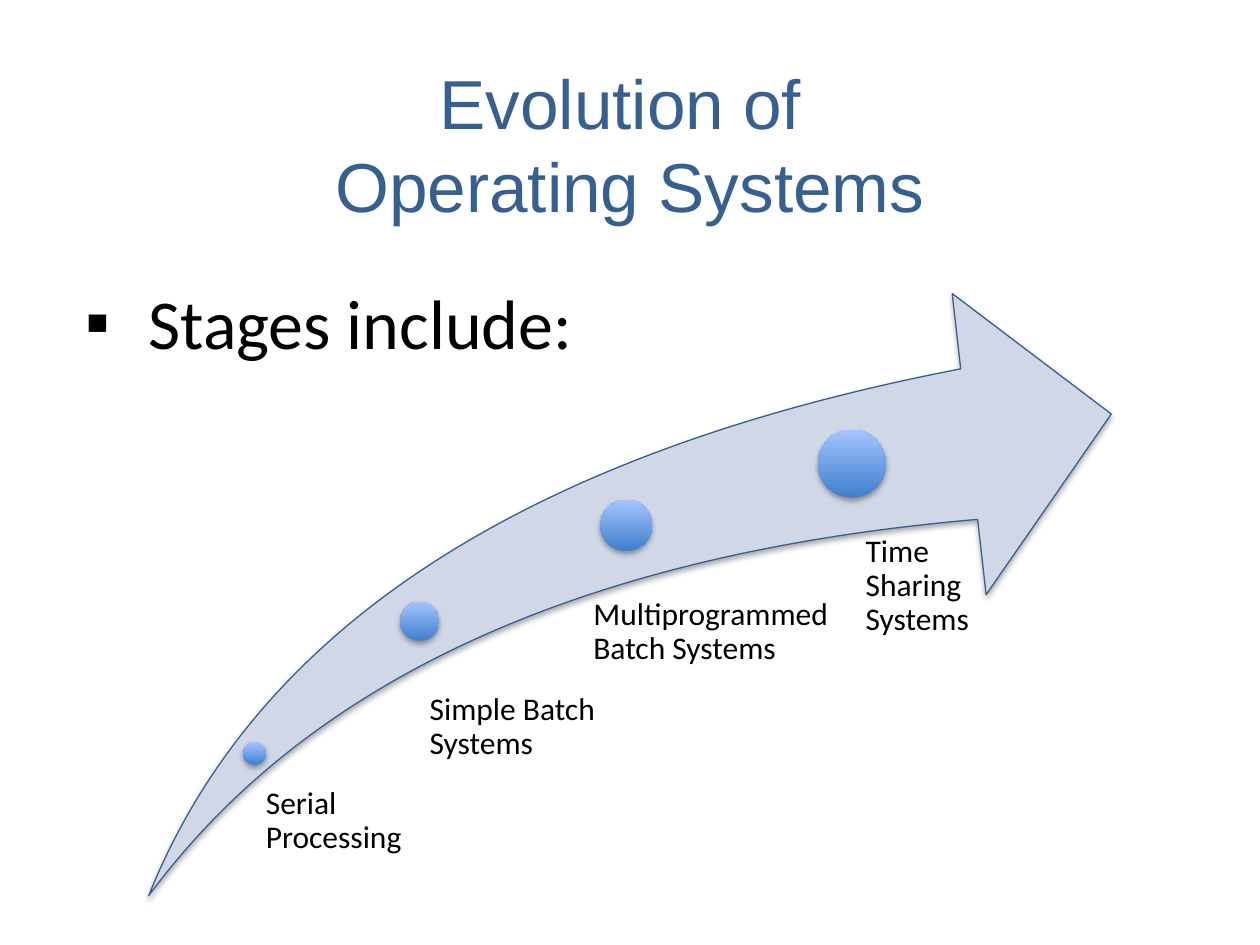
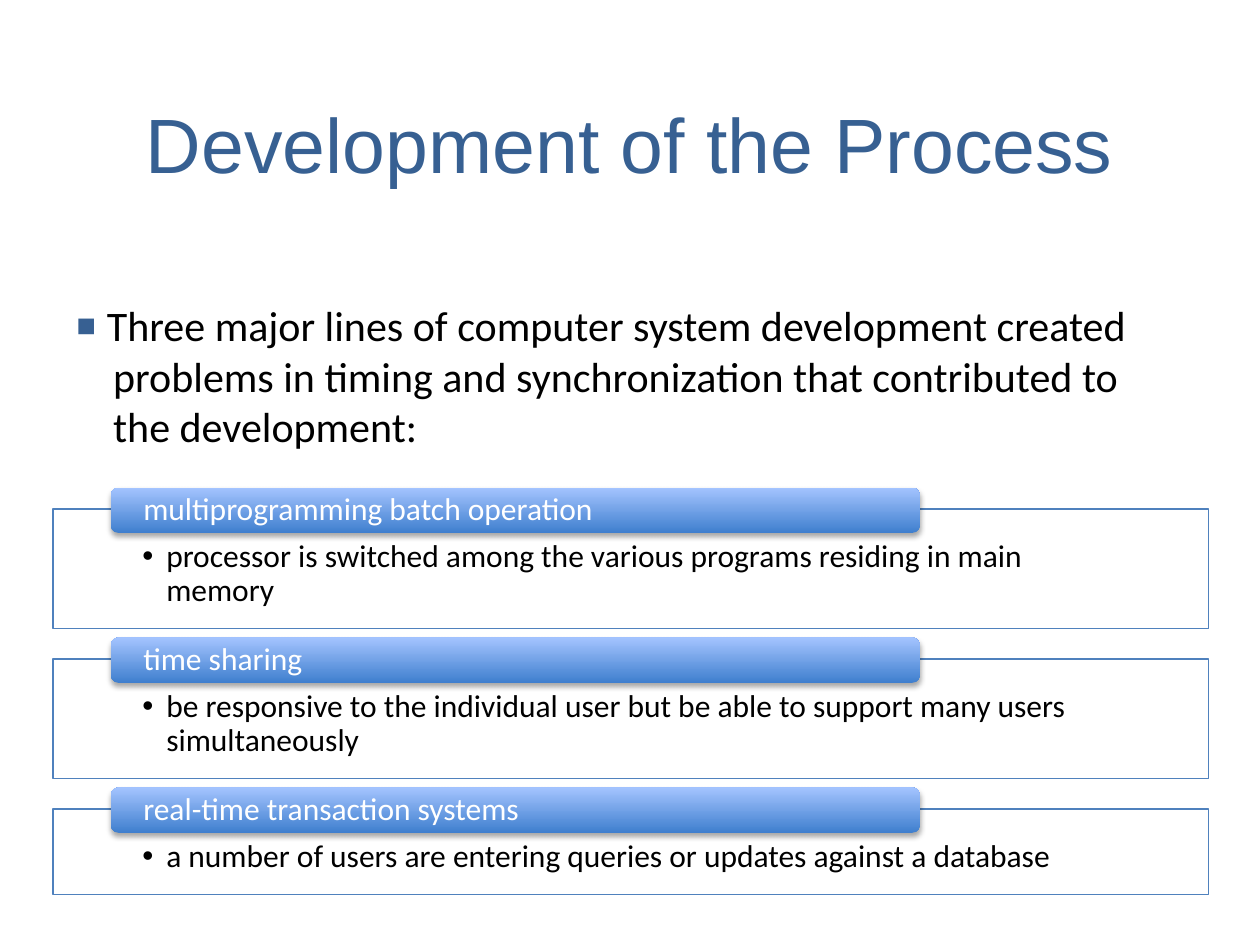
from lxml import etree
from pptx import Presentation
from pptx.dml.color import RGBColor
from pptx.enum.shapes import MSO_SHAPE
from pptx.enum.text import MSO_ANCHOR, MSO_AUTO_SIZE, PP_ALIGN
from pptx.oxml.ns import qn
from pptx.util import Inches, Pt

RECT, ROUND, OVAL = MSO_SHAPE.RECTANGLE, MSO_SHAPE.ROUNDED_RECTANGLE, MSO_SHAPE.OVAL
SWOOSH = MSO_SHAPE.SWOOSH_ARROW
TOP, MIDDLE = MSO_ANCHOR.TOP, MSO_ANCHOR.MIDDLE
LEFT, CENTER = PP_ALIGN.LEFT, PP_ALIGN.CENTER
NO_FIT = MSO_AUTO_SIZE.NONE

# Shared look; the grid has 10 columns and 7.5 rows
COLS, ROWS = 10, 7.5
CELL = Inches(1)
NAVY, BLUE, PALE = "376092", "4F81BD", "D0D8E8"
DEEP, LIGHT = "3F7FCE", "A4C4FF"
BLACK, WHITE = "000000", "FFFFFF"
HEAD, BODY = "Arial", "Calibri"
PAD = (0.1, 0.05, 0.1, 0.05)

# Dot centre (x, y), dot size, label box, label inset
STAGES = [
    ("Serial Processing", (2.02, 5.98), 0.18, (2.02, 6.25, 1.31, 0.58), 0.09),
    ("Simple Batch Systems", (3.33, 4.93), 0.31, (3.25, 5.5, 1.61, 0.87), 0.16),
    ("Multiprogrammed Batch Systems", (4.97, 4.17), 0.41, (4.5, 4.75, 2.3, 0.77), 0.21),
    ("Time Sharing Systems", (6.76, 3.68), 0.54, (6.58, 4.25, 1.39, 1.09), 0.29),
]
# Heading, detail, panel height
LINES = [
    ("multiprogramming batch operation",
     "processor is switched among the various programs residing in main memory", 0.95),
    ("time sharing",
     "be responsive to the individual user but be able to support many users simultaneously",
     0.95),
    ("real-time transaction systems",
     "a number of users are entering queries or updates against a database", 0.68),
]
CAUSE = [
    "Three major lines of computer system development created",
    "problems in timing and synchronization that contributed to",
    "the development:",
]


def rgb(code):
    return RGBColor.from_string(code)


def cells(*spans):
    return [round(span * CELL) for span in spans]


def style(para, size, color, font=BODY, align=LEFT):
    para.alignment = align
    for run in para.runs:
        run.font.size = Pt(size)
        run.font.name = font
        run.font.color.rgb = rgb(color)


def indent(para, left, first=0):
    props = para._p.get_or_add_pPr()
    props.set("marL", str(cells(left)[0]))
    props.set("indent", str(cells(first)[0]))
    return props


def bullet(para, mark, hang, color=None, scale=None):
    props = indent(para, hang, -hang)
    if color:
        tint = etree.SubElement(props, qn("a:buClr"))
        etree.SubElement(tint, qn("a:srgbClr"), val=color)
    if scale:
        etree.SubElement(props, qn("a:buSzPct"), val=str(scale * 1000))
    etree.SubElement(props, qn("a:buFont"), typeface=HEAD)
    etree.SubElement(props, qn("a:buChar"), char=mark)


def frame(shape, text, pad=PAD, anchor=TOP):
    box = shape.text_frame
    box.word_wrap = True
    box.auto_size = NO_FIT
    box.vertical_anchor = anchor
    (box.margin_left, box.margin_top,
     box.margin_right, box.margin_bottom) = cells(*pad)
    box.text = text
    return box.paragraphs


def note(slide, area, text, pad=PAD):
    return frame(slide.shapes.add_textbox(*cells(*area)), text, pad)


def label(para, color=BLACK):
    para.line_spacing = 0.9
    style(para, 18, color)


def block(slide, kind, area, fill=None, line=None):
    shape = slide.shapes.add_shape(kind, *cells(*area))
    shape.shadow.inherit = False
    if fill:
        shape.fill.solid()
        shape.fill.fore_color.rgb = rgb(fill)
    else:
        shape.fill.gradient()
        shape.fill.gradient_angle = 90
        for stop, code in zip(shape.fill.gradient_stops, (DEEP, LIGHT)):
            stop.color.rgb = rgb(code)
    if line:
        shape.line.color.rgb = rgb(line)
        shape.line.width = Pt(0.75)
    else:
        shape.line.fill.background()
    return shape


def shade(shape):
    effects = shape._element.spPr.find(qn("a:effectLst"))
    drop = etree.SubElement(effects, qn("a:outerShdw"), blurRad="40000", dist="23000",
                            dir="5400000", rotWithShape="0")
    color = etree.SubElement(drop, qn("a:srgbClr"), val=BLACK)
    etree.SubElement(color, qn("a:alpha"), val="35000")


def start(deck, text, size):
    slide = deck.slides.add_slide(deck.slide_layouts[5])
    title = slide.shapes.title
    title.left, title.top, title.width, title.height = cells(0.5, 0.51, 9, 1.25)
    para = frame(title, text, anchor=MIDDLE)[0]
    style(para, size, NAVY, HEAD, CENTER)
    return slide


def stage(slide, text, spot, size, area, inset):
    x, y = spot
    shade(block(slide, OVAL, (x - size / 2, y - size / 2, size, size)))
    label(note(slide, area, text, (inset, 0, 0, 0))[0])


def panel(slide, top, head, detail, height):
    body = block(slide, RECT, (0.42, top, 9.17, height), WHITE, BLUE)
    para = frame(body, detail, (0.71, 0.25, 0.71, 0.14))[0]
    bullet(para, "•", 0.19)
    label(para)
    tab = block(slide, ROUND, (0.88, top - 0.17, 6.42, 0.36))
    shade(tab)
    label(frame(tab, head, (0.24, 0, 0.24, 0), MIDDLE)[0], WHITE)


def stages(deck):
    slide = start(deck, "Evolution of \vOperating Systems", 39.6)
    intro = note(slide, (0.58, 2.17, 8.83, 4.42), "Stages include:")[0]
    bullet(intro, "▪", 0.5)
    style(intro, 40, BLACK)
    arrow = block(slide, SWOOSH, (1.18, 2.33, 7.64, 4.78), PALE, NAVY)
    arrow.adjustments[0] = arrow.adjustments[1] = 0.25
    shade(arrow)
    for item in STAGES:
        stage(slide, *item)


def process(deck):
    slide = start(deck, "Development of the Process", 44)
    intro = note(slide, (0.5, 2.33, 8.92, 1.68), "\n".join(CAUSE))
    bullet(intro[0], "▪", 0.25, NAVY, 150)
    for para in intro[1:]:
        indent(para, 0.3)
    for para in intro:
        style(para, 24, BLACK)
    for row, item in enumerate(LINES):
        panel(slide, 4.04 + row * 1.19, *item)


def main():
    deck = Presentation()
    deck.slide_width, deck.slide_height = cells(COLS, ROWS)
    stages(deck)
    process(deck)
    deck.save("out.pptx")


if __name__ == "__main__":
    main()
